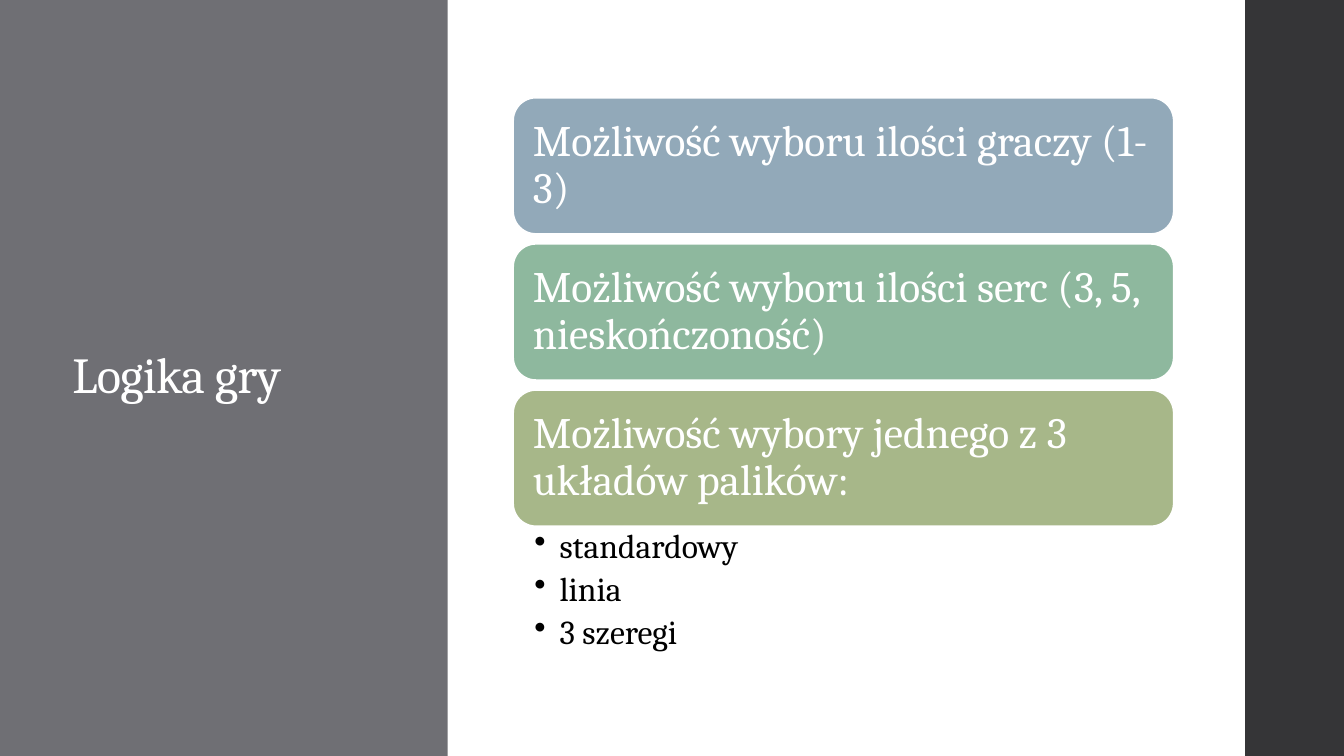
from dataclasses import dataclass

from lxml.etree import SubElement
from pptx import Presentation
from pptx.dml.color import RGBColor
from pptx.enum.shapes import MSO_SHAPE as Shape
from pptx.enum.text import MSO_ANCHOR as Anchor, PP_ALIGN as Align
from pptx.oxml.ns import qn
from pptx.util import Pt

EMU_PER_PX = 9144
FONT = "Cambria"
WHITE = RGBColor(0xFF, 0xFF, 0xFF)
BLACK = RGBColor(0x00, 0x00, 0x00)
GREY = RGBColor(0x6F, 0x6F, 0x74)
CHARCOAL = RGBColor(0x35, 0x35, 0x37)
BLUE = RGBColor(0x92, 0xA9, 0xB9)
GREEN = RGBColor(0x8E, 0xB8, 0x9E)
OLIVE = RGBColor(0xA7, 0xB7, 0x89)


@dataclass(frozen=True)
class Box:
    left: int
    top: int
    width: int
    height: int

    def emu(self) -> list[int]:
        return [px(v) for v in (self.left, self.top, self.width, self.height)]


@dataclass(frozen=True)
class Card:
    text: str
    color: RGBColor


PANELS = [(Box(0, 0, 444, 750), GREY), (Box(1235, 0, 98, 750), CHARCOAL)]
TITLE = Box(62, 91, 297, 567)
FIRST_CARD = Box(509, 97, 655, 135)
CARD_PITCH = 145
OPTIONS_BOX = Box(509, 521, 655, 133)
CARDS = [
    Card("Możliwość wyboru ilości graczy (1-3)", BLUE),
    Card("Możliwość wyboru ilości serc (3, 5, nieskończoność)", GREEN),
    Card("Możliwość wybory jednego z 3 układów palików:", OLIVE),
]
OPTIONS = ["standardowy", "linia", "3 szeregi"]


def px(value: int) -> int:
    return value * EMU_PER_PX


def add_block(slide, kind: Shape, box: Box, color: RGBColor):
    s = slide.shapes.add_shape(kind, *box.emu())
    s.shadow.inherit = False
    s.fill.solid()
    s.fill.fore_color.rgb = color
    s.line.fill.background()
    return s


def set_frame(tf, anchor: Anchor, left: int, top: int, right: int, bottom: int) -> None:
    tf.word_wrap = True
    tf.vertical_anchor = anchor
    tf.margin_left, tf.margin_top = px(left), px(top)
    tf.margin_right, tf.margin_bottom = px(right), px(bottom)


def add_text(p, text: str, size: int, color: RGBColor):
    p.alignment = Align.LEFT
    p.line_spacing = 0.9
    r = p.add_run()
    r.text = text
    r.font.name = FONT
    r.font.size = Pt(size)
    r.font.color.rgb = color
    return r


def add_title(slide, text: str) -> None:
    tf = slide.shapes.add_textbox(*TITLE.emu()).text_frame
    set_frame(tf, Anchor.MIDDLE, 10, 5, 10, 5)
    r = add_text(tf.paragraphs[0], text, 36, WHITE)
    r.font._element.set("spc", "-50")


def add_card(slide, card: Card, box: Box) -> None:
    s = add_block(slide, Shape.ROUNDED_RECTANGLE, box, card.color)
    s.line.color.rgb = WHITE
    s.line.width = Pt(1.1)
    set_frame(s.text_frame, Anchor.MIDDLE, 13, 13, 13, 13)
    add_text(s.text_frame.paragraphs[0], card.text, 31, WHITE)


def add_options(slide, options: list[str]) -> None:
    tf = slide.shapes.add_textbox(*OPTIONS_BOX.emu()).text_frame
    set_frame(tf, Anchor.TOP, 21, 4, 24, 4)
    for i, option in enumerate(options):
        p = tf.add_paragraph() if i else tf.paragraphs[0]
        p.level = 1
        add_text(p, option, 24, BLACK)
        p.space_after = Pt(4.8)
        props = p._p.get_or_add_pPr()
        props.set("marL", str(px(25)))
        props.set("indent", str(px(-25)))
        SubElement(props, qn("a:buChar"), char="•")


def main() -> None:
    prs = Presentation()
    prs.slide_width, prs.slide_height = px(1333), px(750)
    slide = prs.slides.add_slide(prs.slide_layouts[6])
    for box, color in PANELS:
        add_block(slide, Shape.RECTANGLE, box, color)
    add_title(slide, "Logika gry")
    first = FIRST_CARD
    for i, card in enumerate(CARDS):
        top = first.top + i * CARD_PITCH
        add_card(slide, card, Box(first.left, top, first.width, first.height))
    add_options(slide, OPTIONS)
    prs.save("out.pptx")


if __name__ == "__main__":
    main()
